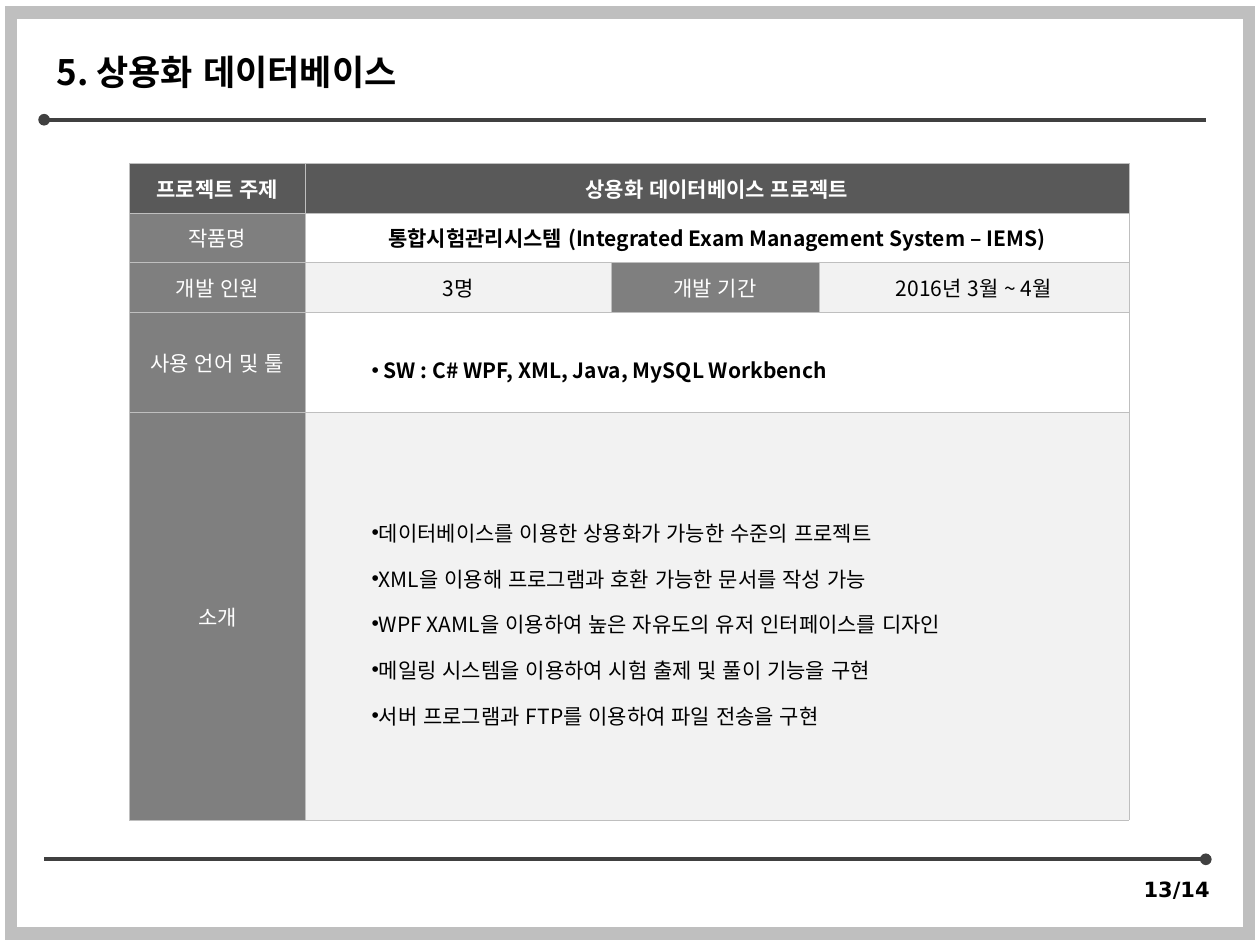
from dataclasses import dataclass
from lxml import etree
from pptx import Presentation
from pptx import util as u
from pptx.dml import color
from pptx.enum import lang, shapes, text
from pptx.oxml import ns


@dataclass(frozen=True)
class Theme:
    body_font: str = "Noto Sans CJK KR"
    number_font: str = "DejaVu Sans"
    bullet_font: str = "Arial"
    title_size: float = 20
    body_size: float = 12
    black: str = "000000"
    white: str = "FFFFFF"
    rule: str = "404040"
    frame: str = "BFBFBF"
    header: str = "595959"
    label: str = "7F7F7F"
    shade: str = "F2F2F2"


THEME = Theme()
CENTER = text.PP_ALIGN.CENTER


def rgb(value):
    return color.RGBColor.from_string(value)


def add_node(parent, tag, **attributes):
    return etree.SubElement(parent, ns.qn(tag), attributes)


def write(frame, *lines, size=THEME.body_size, font=THEME.body_font,
          ink=THEME.black, bold=False, align=None, bullet=False):
    for index, line in enumerate(lines):
        para = frame.paragraphs[0] if index == 0 else frame.add_paragraph()
        if bullet:
            props = para._p.get_or_add_pPr()
            props.set("marL", str(u.Inches(0.23)))
            props.set("indent", str(u.Inches(0.2)))
            add_node(add_node(props, "a:buClr"), "a:srgbClr", val=THEME.black)
            add_node(props, "a:buFont", typeface=THEME.bullet_font)
            add_node(props, "a:buChar", char="•")
            para.line_spacing = 1.5
        para.alignment = align
        span = para.add_run()
        span.text = line
        span.font.size = u.Pt(size)
        span.font.name = font
        span.font.bold = bold
        span.font.color.rgb = rgb(ink)
        span.font.language_id = lang.MSO_LANGUAGE_ID.KOREAN
        for tag in ("a:ea", "a:cs"):
            add_node(span.font._element, tag, typeface=font)


def add_text(page, box, line, anchor=text.MSO_ANCHOR.TOP, wrap=True, **style):
    frame = page.shapes.add_textbox(*map(u.Inches, box)).text_frame
    frame.word_wrap = wrap
    frame.vertical_anchor = anchor
    write(frame, line, **style)


def add_rule(page, start, end, y):
    rule = page.shapes.add_connector(
        shapes.MSO_CONNECTOR.STRAIGHT, *map(u.Inches, (start, y, end, y)))
    rule.line.color.rgb = rgb(THEME.rule)
    rule.line.width = u.Pt(2.25)
    add_node(rule.line._get_or_add_ln(), "a:headEnd", type="oval")
    add_node(rule._element.spPr, "a:effectLst")


def add_frame(page, box):
    border = page.shapes.add_shape(shapes.MSO_SHAPE.RECTANGLE, *map(u.Inches, box))
    border.shadow.inherit = False
    border.fill.background()
    border.line.color.rgb = rgb(THEME.frame)
    border.line.width = u.Pt(7)
    add_node(border.line._get_or_add_ln(), "a:miter", lim="800000")


def style_cell(cell, fill):
    cell.fill.solid()
    cell.fill.fore_color.rgb = rgb(fill)
    cell.vertical_anchor = text.MSO_ANCHOR.MIDDLE
    props = cell._tc.get_or_add_tcPr()
    for index, side in enumerate(("a:lnL", "a:lnR", "a:lnT", "a:lnB")):
        edge = add_node(props, side, w=str(u.Pt(0.45)))
        add_node(add_node(edge, "a:solidFill"), "a:srgbClr", val=THEME.frame)
        props.insert(index, edge)


def add_project_table(page, box):
    widths = (1.39, 2.43, 1.65, 2.46)
    heights = (0.39, 0.39, 0.4, 0.79, 3.24)
    grid = page.shapes.add_table(
        len(heights), len(widths), *map(u.Inches, box)).table
    grid.first_row = grid.horz_banding = False
    for column, width in zip(grid.columns, widths):
        column.width = u.Inches(width)
    for row, height in zip(grid.rows, heights):
        row.height = u.Inches(height)

    header = dict(ink=THEME.white, bold=True, align=CENTER)
    label = dict(ink=THEME.white, align=CENTER)
    value = dict(align=CENTER)
    rows = [
        [(["프로젝트 주제"], THEME.header, header),
         (["상용화 데이터베이스 프로젝트"], THEME.header, header)],
        [(["작품명"], THEME.label, label),
         (["통합시험관리시스템 (Integrated Exam Management System – IEMS)"],
          THEME.white, dict(bold=True, align=CENTER))],
        [(["개발 인원"], THEME.label, label),
         (["3명"], THEME.shade, value),
         (["개발 기간"], THEME.label, label),
         (["2016년 3월 ~ 4월"], THEME.shade, value)],
        [(["사용 언어 및 툴"], THEME.label, label),
         ([" SW : C# WPF, XML, Java, MySQL Workbench"],
          THEME.white, dict(bold=True, bullet=True))],
        [(["소개"], THEME.label, label),
         (["데이터베이스를 이용한 상용화가 가능한 수준의 프로젝트",
           "XML을 이용해 프로그램과 호환 가능한 문서를 작성 가능",
           "WPF XAML을 이용하여 높은 자유도의 유저 인터페이스를 디자인",
           "메일링 시스템을 이용하여 시험 출제 및 풀이 기능을 구현",
           "서버 프로그램과 FTP를 이용하여 파일 전송을 구현"],
          THEME.shade, dict(bullet=True))],
    ]
    last = len(widths) - 1
    for r, entries in enumerate(rows):
        for c in range(len(widths)):
            style_cell(grid.cell(r, c), entries[min(c, len(entries) - 1)][1])
        if len(entries) == 2:
            grid.cell(r, 1).merge(grid.cell(r, last))
        for c, (lines, _, style) in enumerate(entries):
            write(grid.cell(r, c).text_frame, *lines, **style)


def main():
    deck = Presentation()
    deck.slide_width, deck.slide_height = u.Inches(10), u.Inches(7.5)
    page = deck.slides.add_slide(deck.slide_layouts[6])
    left, right = 0.35, 9.57
    add_rule(page, left, right, 0.95)
    add_rule(page, right, left, 6.82)
    add_frame(page, (0.09, 0.1, 9.82, 7.31))
    add_text(page, (8.39, 6.91, 1.31, 0.33), "13/14", wrap=False,
             font=THEME.number_font, bold=True, align=text.PP_ALIGN.RIGHT)
    add_text(page, (left, 0.3, 5.12, 0.54), "5. 상용화 데이터베이스",
             anchor=text.MSO_ANCHOR.MIDDLE, size=THEME.title_size, bold=True)
    add_project_table(page, (1.03, 1.3, 7.93, 5.21))
    deck.save("out.pptx")


if __name__ == "__main__":
    main()
